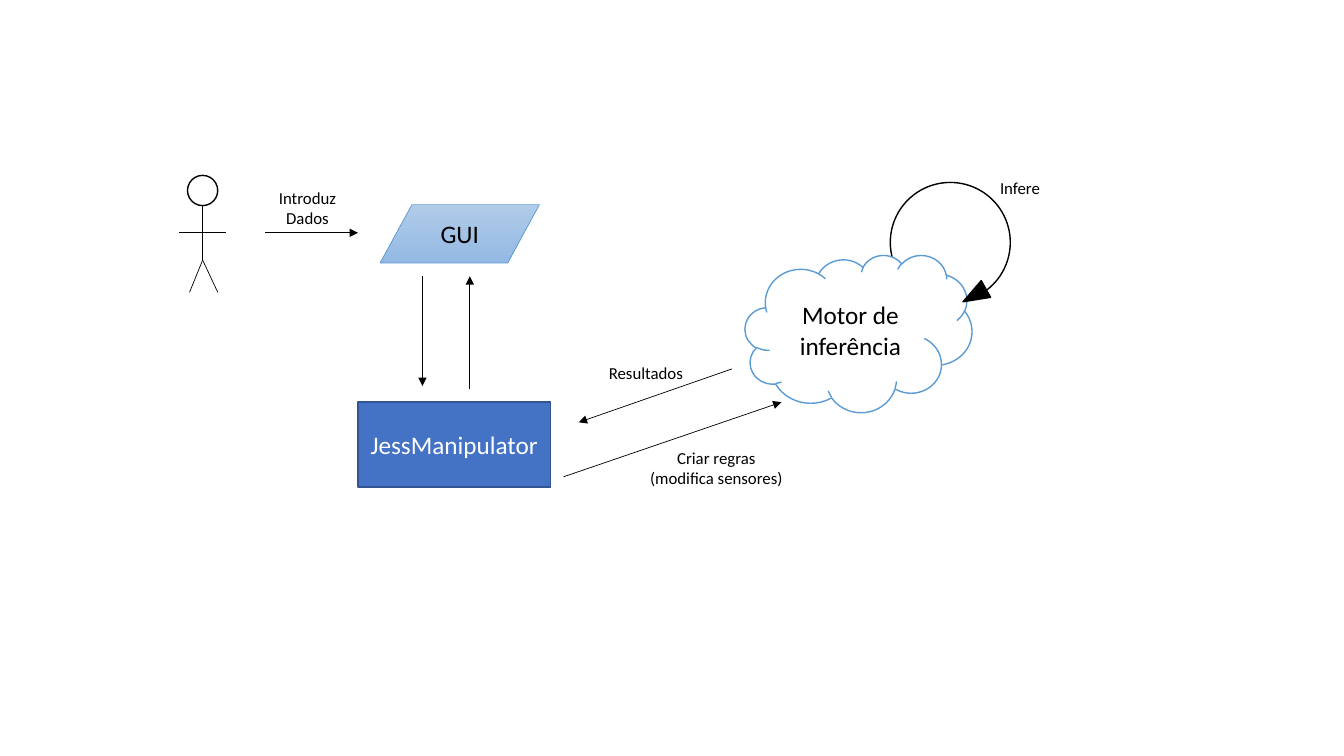
from lxml import etree
from pptx import Presentation
from pptx import util as u
from pptx.dml.color import RGBColor
from pptx.enum import shapes, text
from pptx.oxml import ns

BLACK, WHITE, SKY = "000000", "FFFFFF", "5B9BD5"
KIND = shapes.MSO_SHAPE


def color(value):
    """Turn a hex string into a colour."""
    return RGBColor.from_string(value)


def inches(*values):
    """Turn numbers into lengths in inches."""
    return [u.Inches(value) for value in values]


class Diagram:
    """Draw the elements of a diagram in one style on a slide."""

    font = "Calibri"
    thin, thick = 0.5, 1

    def __init__(self, slide):
        """Keep the slide and draw on it directly."""
        self.slide = slide
        self.shapes = slide.shapes

    def fill_text(self, frame, lines, size, ink, align, **settings):
        """Fill a text frame with one paragraph per line."""
        for name, value in settings.items():
            setattr(frame, name, value)
        frame.text = "\n".join(lines)
        for paragraph in frame.paragraphs:
            paragraph.alignment = align
            values = {"name": self.font, "size": u.Pt(size)}
            for name, value in values.items():
                setattr(paragraph.font, name, value)
            paragraph.font.color.rgb = color(ink)

    def outline(self, line, ink, width):
        """Set the colour and width of a line."""
        line.color.rgb = color(ink)
        line.width = u.Pt(width)

    def shape(self, kind, box, fills=(), line=BLACK, width=thick,
              label=None, ink=BLACK, rotation=0):
        """Add a shape with no fill, a solid fill or a vertical gradient."""
        shape = self.shapes.add_shape(kind, *inches(*box))
        shape.shadow.inherit = False
        shape.rotation = rotation
        if len(fills) > 1:
            shape.fill.gradient()
            shape.fill.gradient_angle = 270
            for stop, fill in zip(shape.fill.gradient_stops, fills):
                stop.color.rgb = color(fill)
        elif fills:
            shape.fill.solid()
            shape.fill.fore_color.rgb = color(fills[0])
        else:
            shape.fill.background()
        self.outline(shape.line, line, width)
        if label:
            self.fill_text(shape.text_frame, [label], 18, ink,
                           text.PP_ALIGN.CENTER, word_wrap=True,
                           vertical_anchor=text.MSO_ANCHOR.MIDDLE)

    def line(self, start, end, arrow=False):
        """Add a straight line, with an arrowhead at its end if asked."""
        connector = self.shapes.add_connector(
            shapes.MSO_CONNECTOR.STRAIGHT, *inches(*start, *end))
        self.outline(connector.line, BLACK, self.thin)
        properties = connector._element.spPr
        if arrow:
            stroke = properties.find(ns.qn("a:ln"))
            etree.SubElement(stroke, ns.qn("a:tailEnd"), type="triangle")
        etree.SubElement(properties, ns.qn("a:effectLst"))

    def caption(self, box, *lines, wrap=False, align=text.PP_ALIGN.CENTER):
        """Add a small text box."""
        textbox = self.shapes.add_textbox(*inches(*box))
        self.fill_text(textbox.text_frame, lines, 12, BLACK, align,
                       word_wrap=wrap,
                       auto_size=text.MSO_AUTO_SIZE.SHAPE_TO_FIT_TEXT)

    def person(self, x, top):
        """Add a grouped stick figure centred on x."""
        self.shapes = self.slide.shapes.add_group_shape().shapes
        neck, arms, hip, feet = (top + drop for drop in (0.3, 0.57, 0.84, 1.16))
        self.shape(KIND.OVAL, (x - 0.15, top, 0.3, 0.3))
        self.line((x, neck), (x, hip))
        for foot in (x + 0.15, x - 0.13):
            self.line((x, hip), (foot, feet))
        self.line((x - 0.23, arms), (x + 0.23, arms))
        self.shapes = self.slide.shapes


presentation = Presentation()
presentation.slide_width, presentation.slide_height = inches(13.33, 7.5)
diagram = Diagram(presentation.slides.add_slide(presentation.slide_layouts[6]))

diagram.person(2.01, 1.74)
diagram.shape(KIND.FLOWCHART_DATA, (3.77, 2.03, 1.58, 0.58),
              ("B1CBE9", "93B9E4"), SKY, diagram.thin, "GUI")
diagram.shape(KIND.RECTANGLE, (3.55, 3.99, 1.91, 0.84), ("4472C4",), "325491",
              label="JessManipulator", ink=WHITE)

arrows = [
    ((2.63, 2.31), (3.55, 2.31)),
    ((4.19, 2.74), (4.19, 3.83)),
    ((4.66, 3.86), (4.66, 2.74)),
    ((5.59, 4.73), (7.75, 3.99)),
    ((7.26, 3.66), (5.74, 4.19)),
]
for start, end in arrows:
    diagram.line(start, end, arrow=True)

diagram.shape(KIND.OVAL, (8.83, 1.81, 1.19, 1.19))
diagram.shape(KIND.CLOUD, (7.39, 2.53, 2.25, 1.56), (WHITE,), SKY,
              label="Motor de inferência")
diagram.shape(KIND.ISOSCELES_TRIANGLE, (9.57, 2.8, 0.19, 0.26), (BLACK,),
              rotation=240.8)

diagram.caption((2.55, 1.81, 1, 0.5), "Introduz", "Dados", wrap=True)
diagram.caption((6.34, 4.39, 1.53, 0.5), "Criar regras", "(modifica sensores)")
diagram.caption((9.82, 1.71, 0.6, 0.3), "Infere", align=text.PP_ALIGN.LEFT)
diagram.caption((5.94, 3.55, 0.95, 0.3), "Resultados", align=text.PP_ALIGN.LEFT)

presentation.save("out.pptx")
